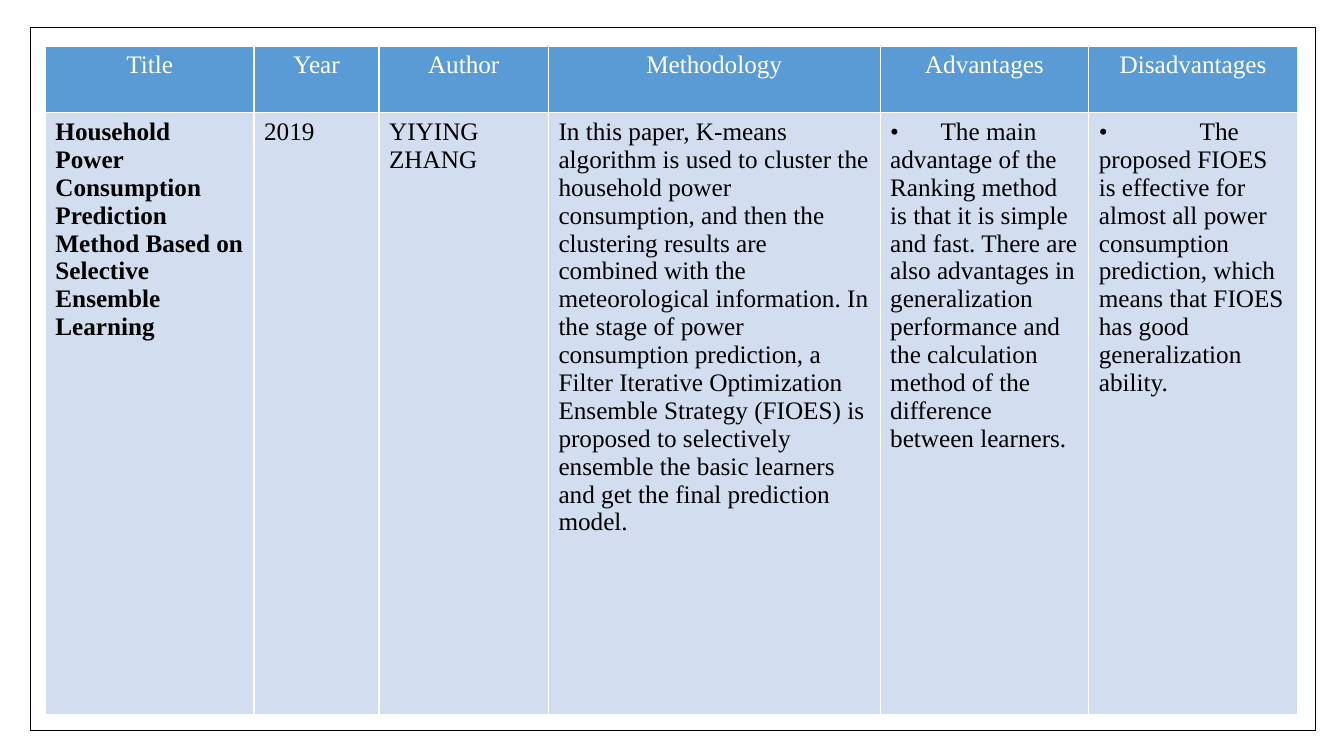
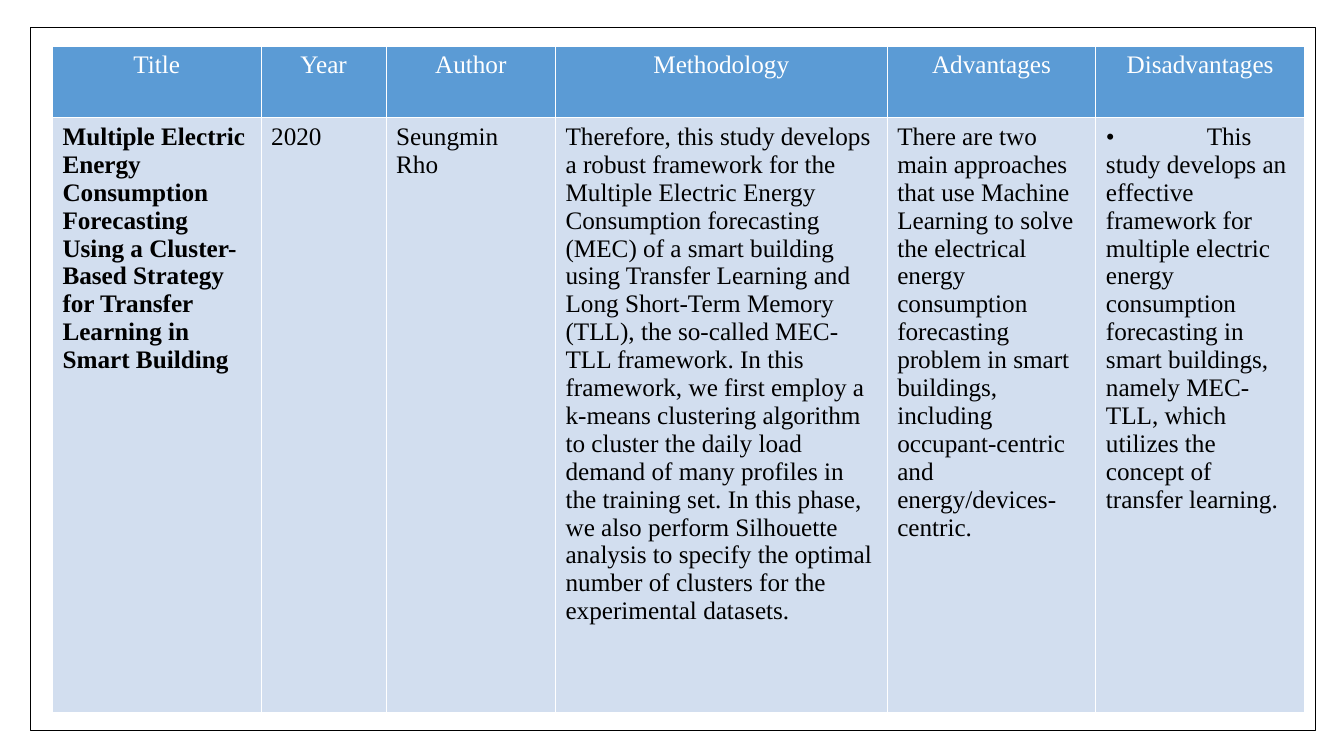
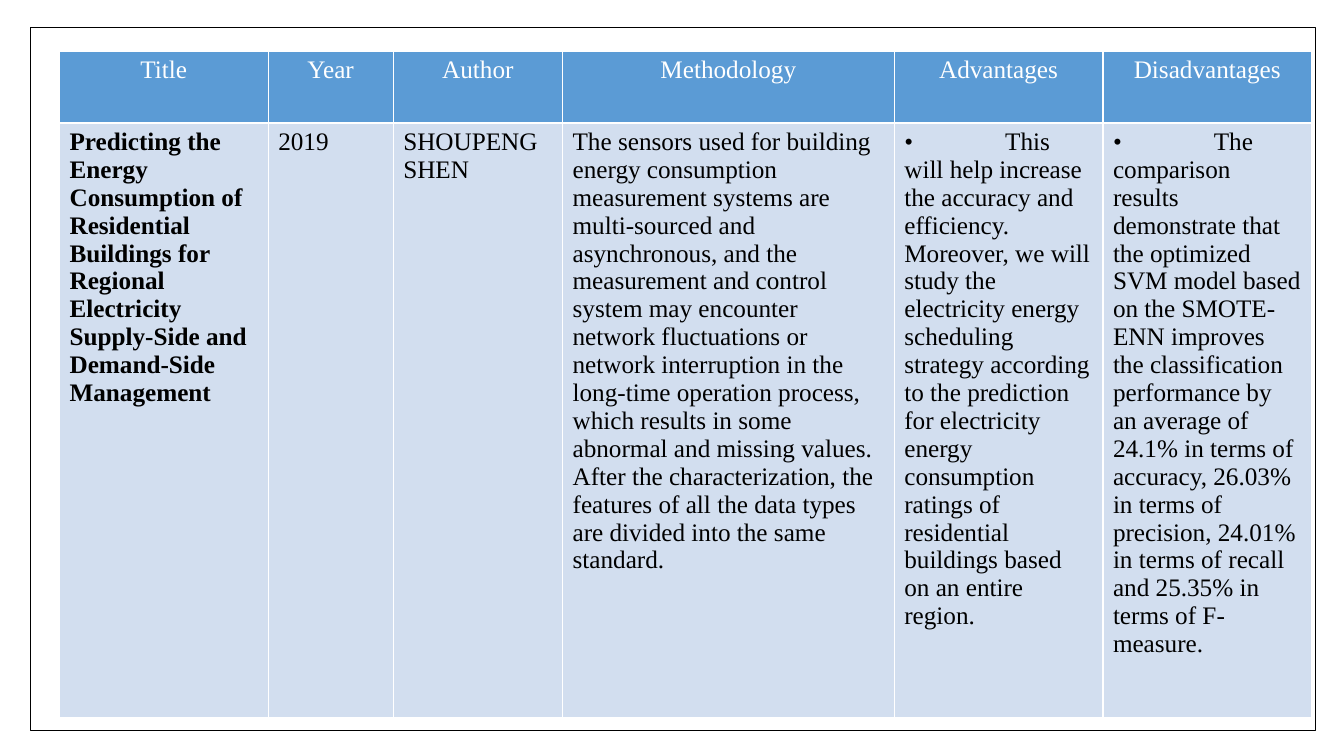
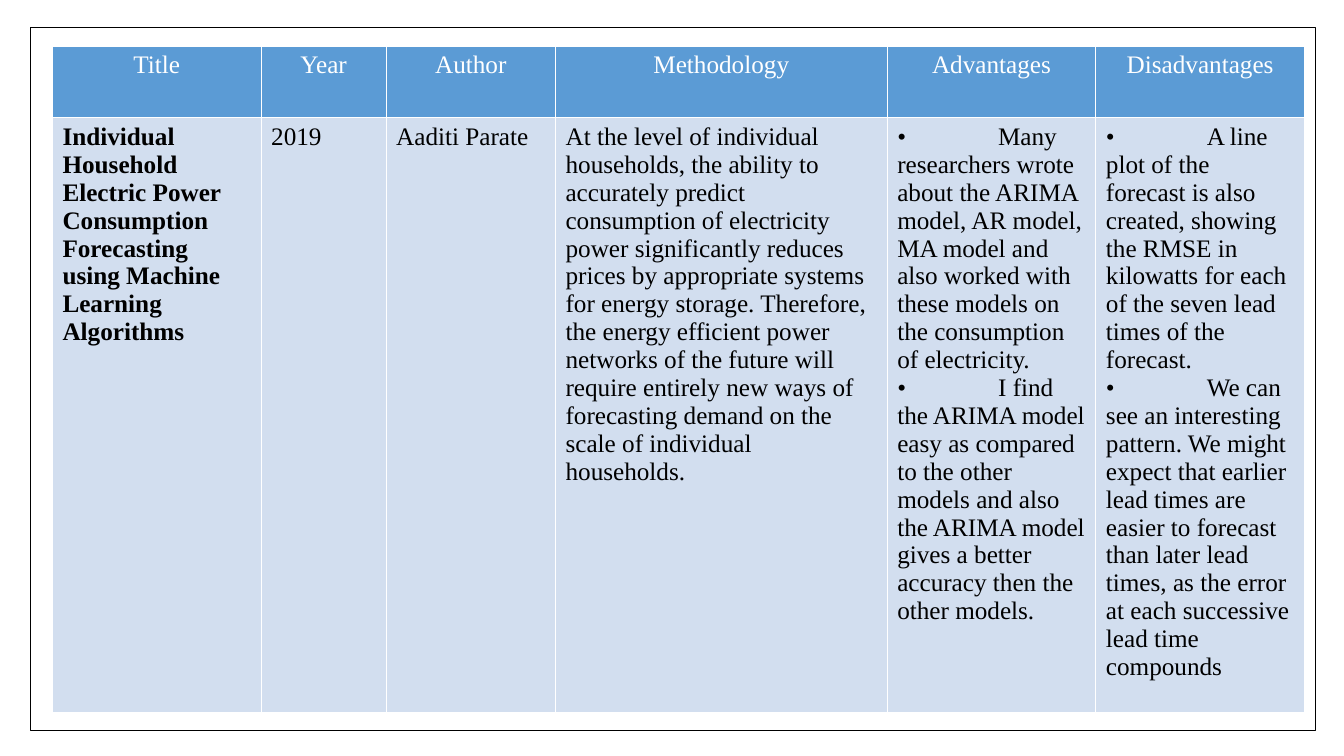
from dataclasses import dataclass

from lxml import etree
from pptx import Presentation
from pptx.dml.color import RGBColor
from pptx.enum.shapes import MSO_SHAPE
from pptx.enum.text import PP_ALIGN
from pptx.oxml.ns import qn
from pptx.util import Inches, Pt

WHITE = RGBColor(0xFF, 0xFF, 0xFF)
BLACK = RGBColor(0x00, 0x00, 0x00)
HEADER_BLUE = RGBColor(0x5B, 0x9B, 0xD5)
BODY_BLUE = RGBColor(0xD2, 0xDE, 0xEF)

FONT = "Times New Roman"
FONT_SIZE = Pt(18)
RULE = Pt(1)

SLIDE_WIDTH, SLIDE_HEIGHT = 13.33, 7.5
FRAME = (0.3, 0.27, 12.75, 6.98)
HEADINGS = ("Title", "Year", "Author", "Methodology", "Advantages", "Disadvantages")
COLUMN_WIDTHS = (2.07, 1.24, 1.68, 3.29, 2.07, 2.07)


@dataclass
class Paper:
    """One surveyed paper: its cells in heading order, and its table's place."""
    cells: tuple
    left: float = 0.52
    top: float = 0.46
    row_heights: tuple = (0.71, 5.9)
    advantage_tab: float = 1.0


def bulleted(*points):
    return "\n".join(f"•\t{point}" for point in points)


PAPERS = (
    Paper(
        (
            "Household Power Consumption Prediction Method Based on Selective "
            "Ensemble Learning",
            "2019",
            "YIYING ZHANG",
            "In this paper, K-means algorithm is used to cluster the household power "
            "consumption, and then the clustering results are combined with the "
            "meteorological information. In the stage of power consumption prediction, "
            "a Filter Iterative Optimization Ensemble Strategy (FIOES) is proposed to "
            "selectively ensemble the basic learners and get the final prediction model.",
            bulleted(
                "The main advantage of the Ranking method is that it is simple and fast. "
                "There are also advantages in generalization performance and the "
                "calculation method of the difference between learners."),
            bulleted(
                "The proposed FIOES is effective for almost all power consumption "
                "prediction, which means that FIOES has good generalization ability."),
        ),
        left=0.45, row_heights=(0.66, 5.97), advantage_tab=0.5,
    ),
    Paper(
        (
            "Multiple Electric Energy Consumption Forecasting Using a Cluster-Based "
            "Strategy for Transfer Learning in Smart Building",
            "2020",
            "Seungmin Rho",
            "Therefore, this study develops a robust framework for the Multiple Electric "
            "Energy Consumption forecasting (MEC) of a smart building using Transfer "
            "Learning and Long Short-Term Memory (TLL), the so-called MEC-TLL framework. "
            "In this framework, we first employ a k-means clustering algorithm to cluster "
            "the daily load demand of many profiles in the training set. In this phase, "
            "we also perform Silhouette analysis to specify the optimal number of "
            "clusters for the experimental datasets.",
            "There are two main approaches that use Machine Learning to solve the "
            "electrical energy consumption forecasting problem in smart buildings, "
            "including occupant-centric and energy/devices-centric.",
            bulleted(
                "This study develops an effective framework for multiple electric energy "
                "consumption forecasting in smart buildings, namely MEC-TLL, which "
                "utilizes the concept of transfer learning."),
        ),
    ),
    Paper(
        (
            "Predicting the Energy Consumption of Residential Buildings for Regional "
            "Electricity Supply-Side and Demand-Side Management",
            "2019",
            "SHOUPENG SHEN",
            "The sensors used for building energy consumption measurement systems are "
            "multi-sourced and asynchronous, and the measurement and control system may "
            "encounter network fluctuations or network interruption in the long-time "
            "operation process, which results in some abnormal and missing values. After "
            "the characterization, the features of all the data types are divided into "
            "the same standard.",
            bulleted(
                "This will help increase the accuracy and efficiency. Moreover, we will "
                "study the electricity energy scheduling strategy according to the "
                "prediction for electricity energy consumption ratings of residential "
                "buildings based on an entire region."),
            bulleted(
                "The comparison results demonstrate that the optimized SVM model based on "
                "the SMOTE-ENN improves the classification performance by an average of "
                "24.1% in terms of accuracy, 26.03% in terms of precision, 24.01% in "
                "terms of recall and 25.35% in terms of F-measure."),
        ),
        left=0.59, top=0.51,
    ),
    Paper(
        (
            "Individual Household Electric Power Consumption Forecasting using Machine "
            "Learning Algorithms",
            "2019",
            "Aaditi Parate",
            "At the level of individual households, the ability to accurately predict "
            "consumption of electricity power significantly reduces prices by appropriate "
            "systems for energy storage. Therefore, the energy efficient power networks "
            "of the future will require entirely new ways of forecasting demand on the "
            "scale of individual households.",
            bulleted(
                "Many researchers wrote about the ARIMA model, AR model, MA model and also "
                "worked with these models on the consumption of electricity.",
                "I find the ARIMA model easy as compared to the other models and also the "
                "ARIMA model gives a better accuracy then the other models."),
            bulleted(
                "A line plot of the forecast is also created, showing the RMSE in "
                "kilowatts for each of the seven lead times of the forecast.",
                "We can see an interesting pattern. We might expect that earlier lead "
                "times are easier to forecast than later lead times, as the error at each "
                "successive lead time compounds"),
        ),
    ),
)


def set_borders(cell):
    properties = cell._tc.get_or_add_tcPr()
    for side in ("lnL", "lnR", "lnT", "lnB"):
        line = etree.SubElement(properties, qn(f"a:{side}"), w=str(RULE))
        fill = etree.SubElement(line, qn("a:solidFill"))
        etree.SubElement(fill, qn("a:srgbClr"), val=str(WHITE))


def set_tab_stop(paragraph, position):
    tabs = etree.SubElement(paragraph._p.get_or_add_pPr(), qn("a:tabLst"))
    etree.SubElement(tabs, qn("a:tab"), pos=str(Inches(position)), algn="l")


def fill_cell(cell, text, background, color, align, bold=False, tab=1.0):
    set_borders(cell)
    cell.fill.solid()
    cell.fill.fore_color.rgb = background
    cell.text_frame.text = text
    for paragraph in cell.text_frame.paragraphs:
        paragraph.alignment = align
        if "\t" in paragraph.text:
            set_tab_stop(paragraph, tab)
        for run in paragraph.runs:
            run.font.name = FONT
            run.font.size = FONT_SIZE
            run.font.bold = bold
            run.font.color.rgb = color


def add_paper_table(slide, paper):
    table = slide.shapes.add_table(
        2, len(HEADINGS), Inches(paper.left), Inches(paper.top),
        Inches(sum(COLUMN_WIDTHS)), Inches(sum(paper.row_heights))).table
    table.horz_banding = False
    for row, height in zip(table.rows, paper.row_heights):
        row.height = Inches(height)
    for index, (heading, width, text) in enumerate(
            zip(HEADINGS, COLUMN_WIDTHS, paper.cells)):
        table.columns[index].width = Inches(width)
        fill_cell(table.cell(0, index), heading, HEADER_BLUE, WHITE, PP_ALIGN.CENTER)
        fill_cell(table.cell(1, index), text, BODY_BLUE, BLACK, PP_ALIGN.LEFT,
                  bold=heading == "Title",
                  tab=paper.advantage_tab if heading == "Advantages" else 1.0)


def add_frame(slide):
    frame = slide.shapes.add_shape(MSO_SHAPE.RECTANGLE, *map(Inches, FRAME))
    frame.shadow.inherit = False
    frame.fill.background()
    frame.line.color.rgb = BLACK
    frame.line.width = RULE


def main():
    deck = Presentation()
    deck.slide_width = Inches(SLIDE_WIDTH)
    deck.slide_height = Inches(SLIDE_HEIGHT)
    blank = deck.slide_layouts[6]
    for paper in PAPERS:
        slide = deck.slides.add_slide(blank)
        add_paper_table(slide, paper)
        add_frame(slide)
    deck.save("out.pptx")


if __name__ == "__main__":
    main()
